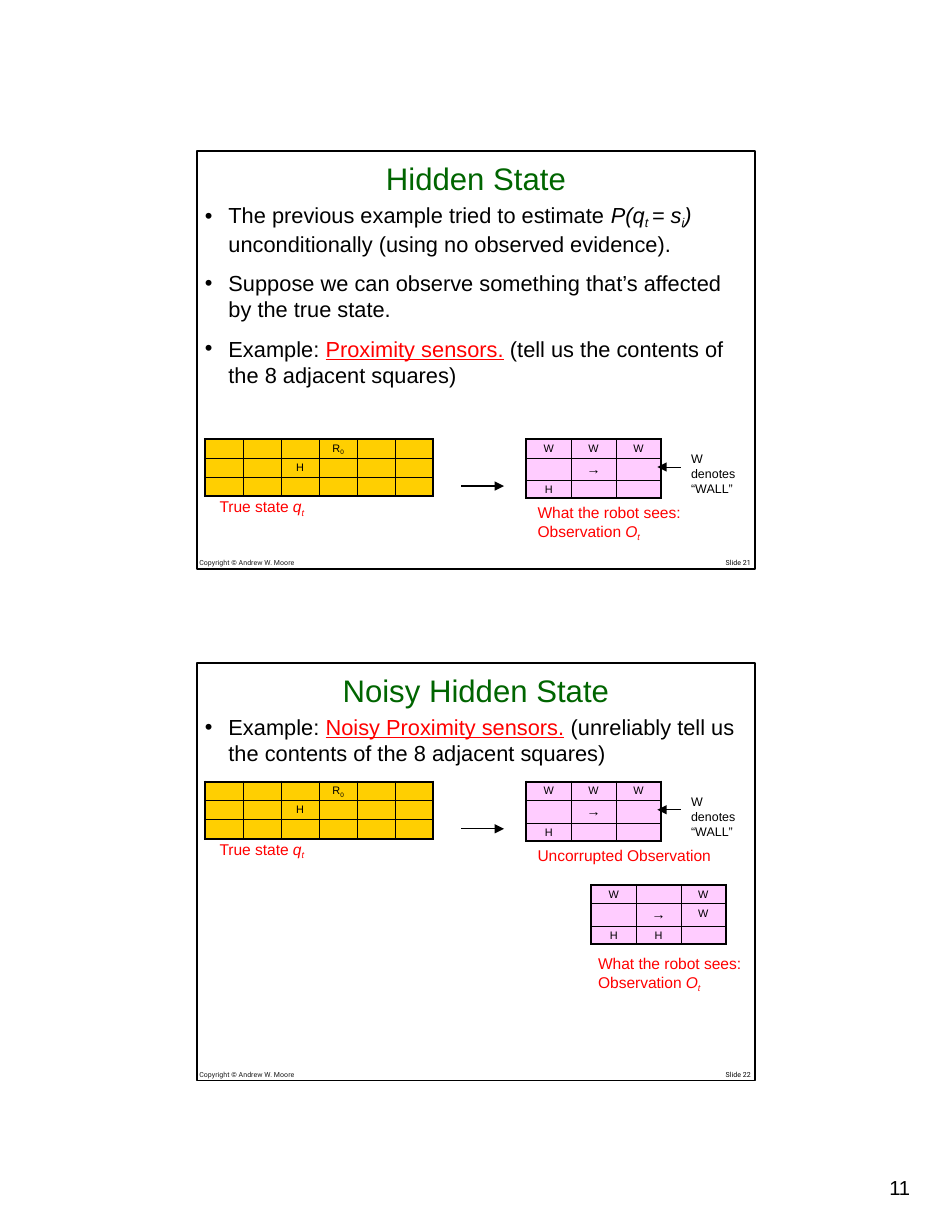
from dataclasses import dataclass

from lxml import etree
from pptx import Presentation
from pptx import util as u
from pptx.dml import color
from pptx.enum import shapes, text
from pptx.oxml import ns

Inches, Pt = u.Inches, u.Pt


@dataclass(frozen=True)
class Theme:
    font: str = "Arial"
    footer_font: str = "Roboto"
    black: str = "000000"
    footer_ink: str = "1B1B1B"
    green: str = "006500"
    red: str = "FF0000"
    gold: str = "FFCF01"
    pink: str = "FFCCFF"
    title: float = 20
    body: float = 14
    page: float = 13
    caption: float = 10
    arrow: float = 9
    note: float = 8
    cell: float = 7
    footer: float = 4.5


T = Theme()
HANDOUT_W, HANDOUT_H = 4.98, 3.73
STATE_GRID = ["   R  ", "  H   ", "      "]
CLEAN_GRID = ["WWW", " → ", "H  "]
NOISY_GRID = ["W W", " →W", "HH "]
TRUE_STATE = [("True state ", ""), ("q", "italic"), ("t", "italic sub")]
ROBOT_SEES = [("What the robot sees: Observation ", ""), ("O", "italic"),
              ("t", "italic sub")]


# Text
def set_font(font, size, ink, name):
    font.size, font.name, font.bold = Pt(size), name, False
    font.color.rgb = color.RGBColor.from_string(ink)


def write(paragraph, parts, size, ink=T.black, name=T.font):
    """Fill a paragraph from a string or from (words, marks) pairs."""
    set_font(paragraph.font, size, ink, name)
    for words, marks in [(parts, "")] if isinstance(parts, str) else parts:
        run = paragraph.add_run()
        run.text = words
        set_font(run.font, size, T.red if "key" in marks else ink, name)
        if "italic" in marks:
            run.font.italic = True
        if "key" in marks:
            run.font.underline = True
        if "sub" in marks:
            run.font._element.set("baseline", "-21000")


def clear_frame(frame):
    frame.margin_left = frame.margin_right = 0
    frame.margin_top = frame.margin_bottom = 0
    frame.word_wrap = True
    frame.auto_size = text.MSO_AUTO_SIZE.NONE
    frame.vertical_anchor = text.MSO_ANCHOR.TOP


def place(shape, left, top, width, height):
    shape.left, shape.top = Inches(left), Inches(top)
    shape.width, shape.height = Inches(width), Inches(height)
    clear_frame(shape.text_frame)


def label(slide, left, top, width, height, lines, size, ink=T.black, name=T.font):
    box = slide.shapes.add_textbox(0, 0, 0, 0)
    place(box, left, top, width, height)
    for i, parts in enumerate(lines):
        frame = box.text_frame
        write(frame.add_paragraph() if i else frame.paragraphs[0],
              parts, size, ink, name)


# Grid worlds
def border(cell_props, side, width):
    line = etree.SubElement(cell_props, ns.qn(f"a:ln{side}"), w=str(Pt(width)))
    fill = etree.SubElement(line, ns.qn("a:solidFill"))
    etree.SubElement(fill, ns.qn("a:srgbClr"), val=T.black)


def grid(slide, left, top, rows, col_width, row_heights, fill):
    count, width = len(rows), len(rows[0])
    table = slide.shapes.add_table(
        count, width, Inches(left), Inches(top),
        Inches(col_width * width), Inches(sum(row_heights))).table
    table.first_row = table.horz_banding = False
    for column in table.columns:
        column.width = Inches(col_width)
    for r, row in enumerate(rows):
        table.rows[r].height = Inches(row_heights[r])
        for c, mark in enumerate(row):
            cell = table.cell(r, c)
            cell.margin_left = cell.margin_right = cell.margin_bottom = 0
            cell.margin_top = Inches(0.03)
            outer = {"L": c == 0, "R": c == width - 1,
                     "T": r == 0, "B": r == count - 1}
            for side, is_outer in outer.items():
                border(cell._tc.get_or_add_tcPr(), side, 1.5 if is_outer else 0.5)
            cell.fill.solid()
            cell.fill.fore_color.rgb = color.RGBColor.from_string(fill)
            paragraph = cell.text_frame.paragraphs[0]
            paragraph.alignment = text.PP_ALIGN.CENTER
            if mark == " ":
                etree.SubElement(paragraph._p, ns.qn("a:endParaRPr"),
                                 sz=str(T.cell * 100))
            else:
                parts = [("R", ""), ("0", "sub")] if mark == "R" else mark
                write(paragraph, parts, T.arrow if mark == "→" else T.cell)


def observation(slide, left, top, rows):
    grid(slide, left, top, rows, 0.4, [0.17, 0.2, 0.16], T.pink)


def arrow(slide, start, end, y, weight):
    line = slide.shapes.add_connector(
        shapes.MSO_CONNECTOR.STRAIGHT, Inches(start), Inches(y), Inches(end), Inches(y))
    line.line.width = Pt(weight)
    line.line.color.rgb = color.RGBColor.from_string(T.black)
    etree.SubElement(line.line._get_or_add_ln(), ns.qn("a:tailEnd"), type="triangle")
    etree.SubElement(line._element.spPr, ns.qn("a:effectLst"))


def sensing_diagram(slide, left, top, caption):
    """True state, arrow, sensed squares and the note on walls."""
    grid(slide, left + 0.07, top, STATE_GRID, 0.34, [0.17] * 3, T.gold)
    label(slide, left + 0.2, top + 0.52, 0.85, 0.2, [TRUE_STATE], T.caption, T.red)
    arrow(slide, left + 2.36, left + 2.74, top + 0.42, 0.75)
    observation(slide, left + 2.94, top, CLEAN_GRID)
    label(slide, left + 3.04, top + 0.57, *caption, T.caption, T.red)
    arrow(slide, left + 4.32, left + 4.11, top + 0.25, 0.35)
    label(slide, left + 4.41, top + 0.11, 0.42, 0.43,
          ["W", "denotes “WALL”"], T.note)


# Handout panels
def handout(slide, left, top, title, heading, body, bullets, number):
    """Frame, title, bullet list and footer of one panel."""
    frame = slide.shapes.add_shape(
        shapes.MSO_SHAPE.RECTANGLE, Inches(left), Inches(top),
        Inches(HANDOUT_W), Inches(HANDOUT_H))
    frame.shadow.inherit = False
    frame.fill.background()
    frame.line.width = Pt(1)
    frame.line.color.rgb = color.RGBColor.from_string(T.black)

    place(title, left, top + 0.07, HANDOUT_W, 0.34)
    title_line = title.text_frame.paragraphs[0]
    title_line.alignment = text.PP_ALIGN.CENTER
    title_line.space_before = Pt(0)
    write(title_line, heading, T.title, T.green)

    place(body, left + 0.07, top + 0.45, 4.73, 0.56 * len(bullets))
    for i, parts in enumerate(bullets):
        item = body.text_frame.add_paragraph() if i else body.text_frame.paragraphs[0]
        item.space_before = Pt(8.5 if i else 0)
        props = item._p.get_or_add_pPr()
        props.set("marL", str(Inches(0.21)))
        props.set("indent", str(-Inches(0.21)))
        write(item, parts, T.body)
        etree.SubElement(props, ns.qn("a:buChar"), char="•")
        props.insert(len(props) - 2, props[-1])

    footer_top = top + 3.64
    label(slide, left + 0.02, footer_top, 0.95, 0.09, ["Copyright © Andrew W. Moore"],
          T.footer, T.footer_ink, T.footer_font)
    label(slide, left + 4.72, footer_top, 0.26, 0.09, [f"Slide {number}"],
          T.footer, T.black, T.footer_font)


def hidden_state(slide, left, top, title, body):
    handout(slide, left, top, title, "Hidden State", body, [
        [("The previous example tried to estimate ", ""), ("P(q", "italic"),
         ("t ", "italic sub"), ("= s", "italic"), ("i", "italic sub"),
         (")", "italic"), (" unconditionally (using no observed evidence).", "")],
        "Suppose we can observe something that’s affected by the true state.",
        [("Example: ", ""), ("Proximity sensors.", "key"),
         (" (tell us the contents of the 8 adjacent squares)", "")],
    ], 21)
    sensing_diagram(slide, left, top + 2.57, (1.32, 0.36, [ROBOT_SEES]))


def noisy_hidden_state(slide, left, top, title, body):
    handout(slide, left, top, title, "Noisy Hidden State", body, [
        [("Example: ", ""), ("Noisy Proximity sensors.", "key"),
         (" (unreliably tell us the contents of the 8 adjacent squares)", "")],
    ], 22)
    sensing_diagram(slide, left, top + 1.06, (1.6, 0.2, ["Uncorrupted Observation"]))
    observation(slide, left + 3.52, top + 1.98, NOISY_GRID)
    label(slide, left + 3.58, top + 2.6, 1.32, 0.36, [ROBOT_SEES], T.caption, T.red)


def main():
    deck = Presentation()
    deck.slide_width, deck.slide_height = Inches(8.5), Inches(11)
    comparison = deck.slide_layouts[4]
    slide = deck.slides.add_slide(comparison)
    slots = {p.placeholder_format.idx: p for p in slide.placeholders}
    unused = slots[1]._element
    unused.getparent().remove(unused)

    hidden_state(slide, 1.76, 1.35, slots[0], slots[2])
    noisy_hidden_state(slide, 1.76, 5.92, slots[3], slots[4])
    label(slide, 7.94, 10.49, 0.26, 0.23, ["11"], T.page)
    deck.save("out.pptx")


if __name__ == "__main__":
    main()
